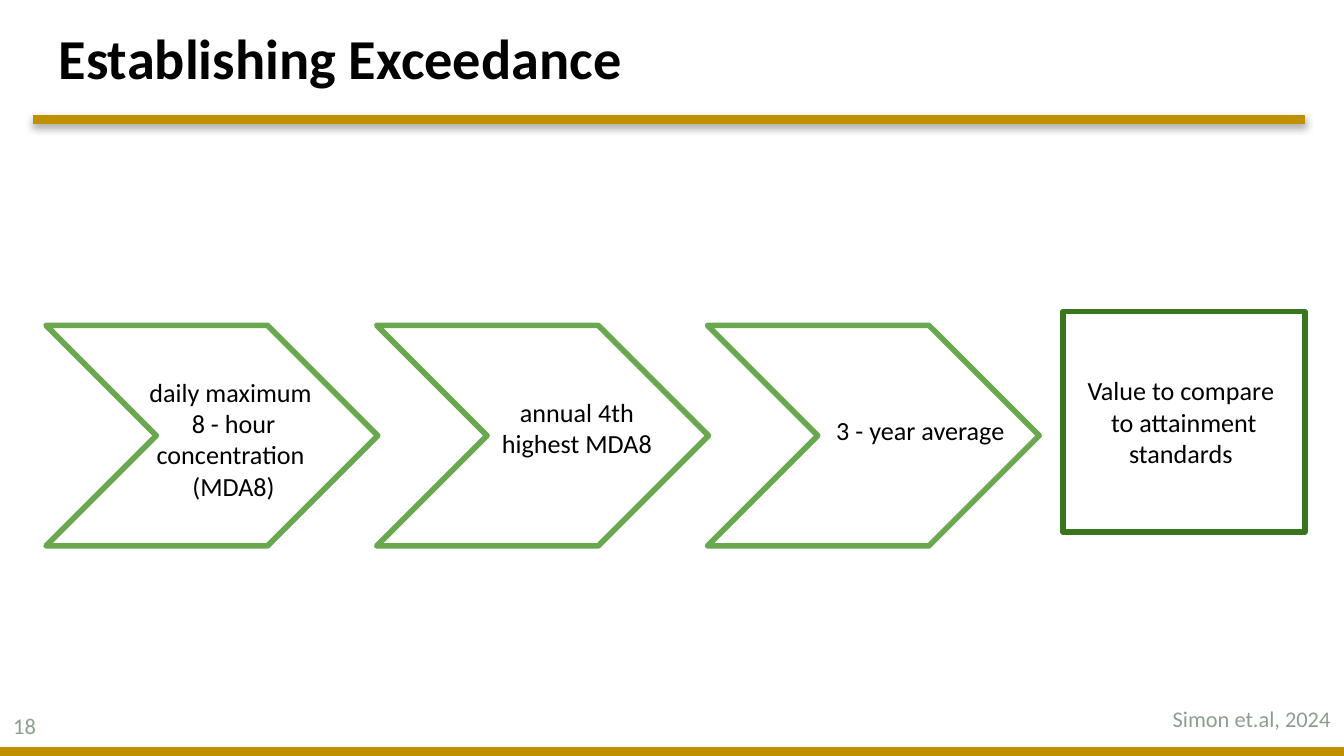
import pptx
import pptx.util
import pptx.dml.color
import pptx.enum.shapes
import pptx.enum.text
import pptx.oxml
import pptx.oxml.ns

Cm, Pt = pptx.util.Cm, pptx.util.Pt
RGBColor = pptx.dml.color.RGBColor
SHAPE = pptx.enum.shapes.MSO_SHAPE
ALIGN = pptx.enum.text.PP_ALIGN
ANCHOR = pptx.enum.text.MSO_ANCHOR

BLACK = RGBColor(0x00, 0x00, 0x00)
WHITE = RGBColor(0xFF, 0xFF, 0xFF)
GOLD = RGBColor(0xBF, 0x90, 0x00)
GREEN = RGBColor(0x6A, 0xA8, 0x4F)
DARK_GREEN = RGBColor(0x38, 0x76, 0x1D)
SAGE = RGBColor(0x8A, 0xA0, 0x8D)

TITLE = {"size": Pt(30.2), "bold": True, "color": BLACK}
BODY = {"size": Pt(14), "bold": False, "color": BLACK}
FOOTER = {"size": Pt(12), "bold": False, "color": SAGE}

SHADOW = (
    '<a:effectLst %s><a:outerShdw blurRad="57150" dist="19050" dir="5400000" '
    'algn="bl" rotWithShape="0"><a:srgbClr val="000000"><a:alpha val="35000"/>'
    '</a:srgbClr></a:outerShdw></a:effectLst>' % pptx.oxml.ns.nsdecls("a")
)

STEPS = [  # text top, text height, paragraphs
    (6.86, 2.74, ["daily maximum ", "8 - hour concentration ", "(MDA8)"]),
    (7.24, 2.01, ["annual 4th highest MDA8"]),
    (7.59, 1.32, ["3 - year average"]),
]


class SlideBuilder:
    font = "Calibri"
    inset = Cm(0.25)

    def __init__(self, s):
        self.s = s

    def set_text(self, sp, lines, style, align, anchor=ANCHOR.TOP):
        tf = sp.text_frame
        frame = {"word_wrap": True, "vertical_anchor": anchor}
        for side in ("left", "right", "top", "bottom"):
            frame["margin_" + side] = self.inset
        for name, value in frame.items():
            setattr(tf, name, value)
        for i, line in enumerate(lines):
            p = tf.add_paragraph() if i else tf.paragraphs[0]
            p.alignment = align
            r = p.add_run()
            r.text = line
            r.font.name = self.font
            for name, value in style.items():
                if name == "color":
                    r.font.color.rgb = value
                else:
                    setattr(r.font, name, value)

    def text(self, box, lines, style, align=ALIGN.LEFT):
        sp = self.s.shapes.add_textbox(*map(Cm, box))
        self.set_text(sp, lines, style, align)

    def shape(self, kind, box, fill, line, width):
        sp = self.s.shapes.add_shape(kind, *map(Cm, box))
        sp.shadow.inherit = False
        sp.fill.solid()
        sp.fill.fore_color.rgb = fill
        sp.line.color.rgb = line
        sp.line.width = Pt(width)
        return sp

    def outline(self, kind, box, line):
        """Add a white shape with a thick, round-cornered outline."""
        sp = self.shape(kind, box, WHITE, line, 3)
        ln = sp._element.spPr.find(pptx.oxml.ns.qn("a:ln"))
        ln.append(pptx.oxml.parse_xml("<a:round %s/>" % pptx.oxml.ns.nsdecls("a")))
        return sp

    def bar(self, box, shadow=False):
        sp = self.shape(SHAPE.RECTANGLE, box, GOLD, GOLD, 0.75)
        if shadow:
            sp_pr = sp._element.spPr
            plain = sp_pr.find(pptx.oxml.ns.qn("a:effectLst"))
            sp_pr.replace(plain, pptx.oxml.parse_xml(SHADOW))


def main():
    prs = pptx.Presentation()
    prs.slide_width, prs.slide_height = Cm(25.4), Cm(14.29)
    b = SlideBuilder(prs.slides.add_slide(prs.slide_layouts[6]))

    b.text((0.86, 0.18, 12.04, 1.6), ["Establishing Exceedance"], TITLE)
    b.bar((0.63, 2.19, 24.03, 0.15), shadow=True)
    b.bar((-0.05, 14.13, 25.52, 0.15))

    for i, (top, height, lines) in enumerate(STEPS):
        b.outline(SHAPE.CHEVRON, (0.87 + 6.25 * i, 6.15, 6.27, 4.17), GREEN)
        b.text((2.41 + 6.49 * i, top, 4.01, height), lines, BODY, ALIGN.CENTER)

    result = b.outline(SHAPE.RECTANGLE, (20.09, 5.89, 4.57, 4.17), DARK_GREEN)
    b.set_text(result, ["Value to compare ", "to attainment standards "],
               BODY, ALIGN.CENTER, ANCHOR.MIDDLE)

    b.text((21.39, 13.08, 4.01, 1.04), ["Simon et.al, 2024"], FOOTER, ALIGN.RIGHT)
    b.text((0, 13.21, 1.85, 0.91), ["18"], FOOTER)
    prs.save("out.pptx")


if __name__ == "__main__":
    main()
